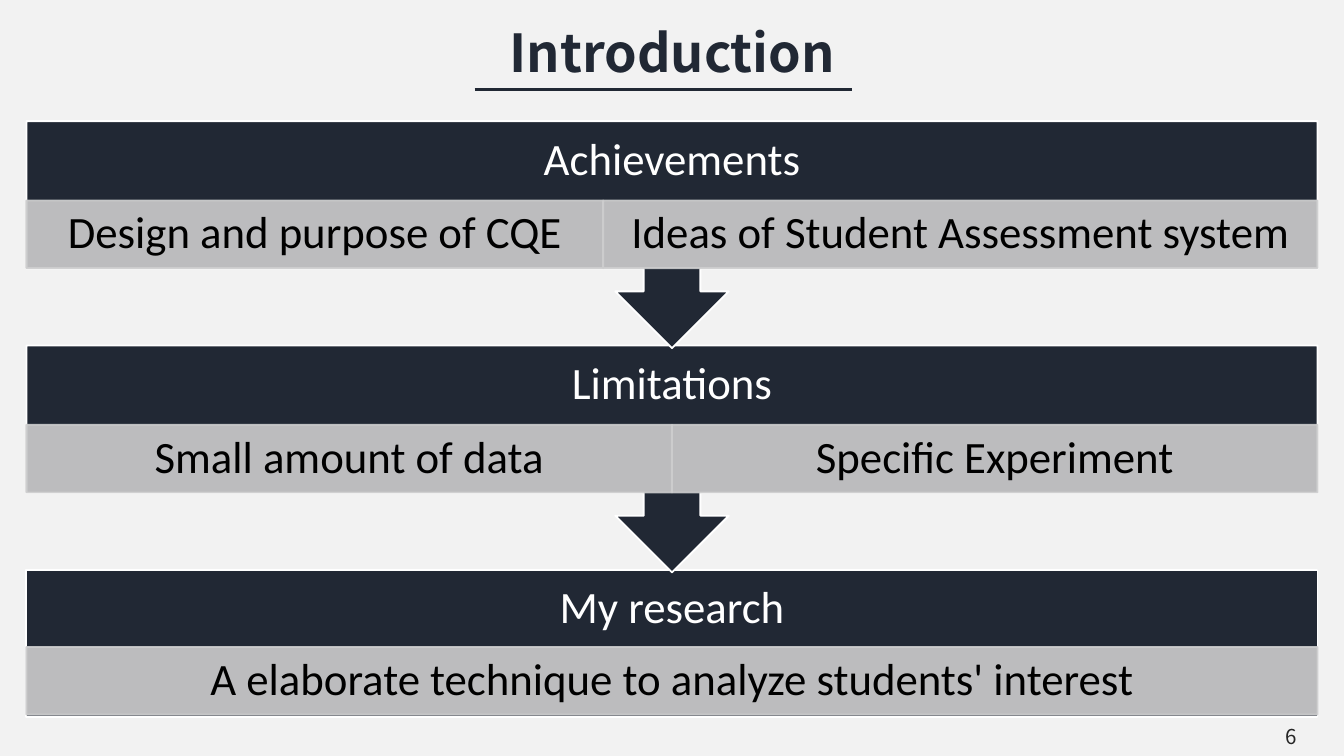
"""Build the Introduction slide: achievements lead to limitations, then to the research."""
from lxml import etree
from pptx import Presentation
from pptx.dml.color import RGBColor
from pptx.enum.shapes import MSO_CONNECTOR, MSO_SHAPE
from pptx.enum.text import MSO_ANCHOR, MSO_AUTO_SIZE, PP_ALIGN
from pptx.oxml.ns import qn
from pptx.util import Cm, Pt

TITLE = "Introduction"
PAGE_NUMBER = "6"
STAGES = [
    ("Achievements", [("Design and purpose of CQE", 10.9),
                      ("Ideas of Student Assessment system", 13.5)]),
    ("Limitations", [("Small amount of data", 12.2), ("Specific Experiment", 12.2)]),
    ("My research", [("A elaborate technique to analyze students' interest", 24.4)]),
]

NAVY = RGBColor(0x21, 0x28, 0x34)
GREY = RGBColor(0xCD, 0xCD, 0xCE)
CHARCOAL = RGBColor(0x26, 0x26, 0x26)
PAPER = RGBColor(0xF2, 0xF2, 0xF2)
WHITE = RGBColor(0xFF, 0xFF, 0xFF)
BLACK = RGBColor(0, 0, 0)

RECTANGLE, CALLOUT = MSO_SHAPE.RECTANGLE, MSO_SHAPE.UP_ARROW_CALLOUT
STRAIGHT = MSO_CONNECTOR.STRAIGHT
TOP, MIDDLE = MSO_ANCHOR.TOP, MSO_ANCHOR.MIDDLE
CENTER, RIGHT = PP_ALIGN.CENTER, PP_ALIGN.RIGHT
GROW, FIXED = MSO_AUTO_SIZE.SHAPE_TO_FIT_TEXT, MSO_AUTO_SIZE.NONE

TITLE_FONT = {"name": "Noto Sans CJK SC", "size": Pt(28), "bold": True}
NUMBER_FONT = {"name": "Noto Sans CJK SC", "size": Pt(11)}
STAGE_FONT = {"name": "Calibri", "size": Pt(24)}
TITLE_FRAME = {"word_wrap": False, "auto_size": GROW, "vertical_anchor": TOP}
BOX_FRAME = {"word_wrap": True, "auto_size": FIXED, "vertical_anchor": MIDDLE}
NUMBER_FRAME = BOX_FRAME | {"margin_top": Cm(0), "margin_bottom": Cm(0)}
HEADING_FRAME = BOX_FRAME | {
    "margin_left": Cm(0.48), "margin_right": Cm(0.48),
    "margin_top": Cm(0.48), "margin_bottom": Cm(0.48)}
DETAIL_FRAME = HEADING_FRAME | {"margin_top": Cm(0.08), "margin_bottom": Cm(0.08)}
CENTERED = {"alignment": CENTER}
STAGE_PARAGRAPH = {"alignment": CENTER, "line_spacing": 0.9}

LEFT, FIRST_TOP, PITCH = 0.5, 2.29, 4.24
WIDTH, CALLOUT_HEIGHT, LAST_HEIGHT = 24.4, 4.29, 2.79
HEADING_HEIGHT, DETAIL_HEIGHT = 1.5, 1.28


def apply(target, values):
    for key, value in values.items():
        setattr(target, key, value)


def write(holder, text, frame_format, paragraph_format, font_format, color):
    frame = holder.text_frame
    frame.text = text
    apply(frame, frame_format)
    paragraph = frame.paragraphs[0]
    apply(paragraph, paragraph_format)
    font = paragraph.runs[0].font
    apply(font, font_format)
    font.color.rgb = color


def add_box(slide, kind, place, fill, line):
    box = slide.shapes.add_shape(kind, *map(Cm, place))
    box.shadow.inherit = False
    box.fill.solid()
    box.fill.fore_color.rgb = fill
    box.line.color.rgb = line
    box.line.width = Pt(1)
    return box


def make_translucent(box):
    for color in box._element.spPr.iter(qn("a:srgbClr")):
        etree.SubElement(color, qn("a:alpha")).set("val", "90000")


def add_stage(slide, index, heading, details):
    top = FIRST_TOP + index * PITCH
    if index == len(STAGES) - 1:
        add_box(slide, RECTANGLE, (LEFT, top, WIDTH, LAST_HEIGHT), NAVY, WHITE)
        detail_top = top + HEADING_HEIGHT - 0.04
    else:
        callout = add_box(slide, CALLOUT, (LEFT, top, WIDTH, CALLOUT_HEIGHT), NAVY, WHITE)
        callout.rotation = 180
        detail_top = top + HEADING_HEIGHT
    label = slide.shapes.add_textbox(*map(Cm, (LEFT, top, WIDTH, HEADING_HEIGHT)))
    write(label, heading, HEADING_FRAME, STAGE_PARAGRAPH, STAGE_FONT, WHITE)
    left = LEFT
    for text, width in details:
        detail = add_box(slide, RECTANGLE, (left, detail_top, width, DETAIL_HEIGHT), GREY, GREY)
        make_translucent(detail)
        write(detail, text, DETAIL_FRAME, STAGE_PARAGRAPH, STAGE_FONT, BLACK)
        left += width


def main():
    deck = Presentation()
    apply(deck, {"slide_width": Cm(25.4), "slide_height": Cm(14.29)})
    slide = deck.slides.add_slide(deck.slide_layouts[5])
    slide.background.fill.solid()
    slide.background.fill.fore_color.rgb = PAPER

    title = slide.shapes.title
    apply(title, {"left": Cm(9.3), "top": Cm(0.25), "width": Cm(6.81), "height": Cm(1.45)})
    write(title, TITLE, TITLE_FRAME, CENTERED, TITLE_FONT, NAVY)

    underline = slide.shapes.add_connector(STRAIGHT, *map(Cm, (8.97, 1.69, 16.1, 1.69)))
    underline.line.color.rgb = NAVY
    underline.line.width = Pt(1.5)
    etree.SubElement(underline._element.spPr, qn("a:effectLst"))

    number = slide.shapes.add_textbox(*map(Cm, (19.05, 13.62, 5.72, 0.6)))
    write(number, PAGE_NUMBER, NUMBER_FRAME, {"alignment": RIGHT}, NUMBER_FONT, CHARCOAL)

    for index, (heading, details) in reversed(list(enumerate(STAGES))):
        add_stage(slide, index, heading, details)
    deck.save("out.pptx")


if __name__ == "__main__":
    main()
